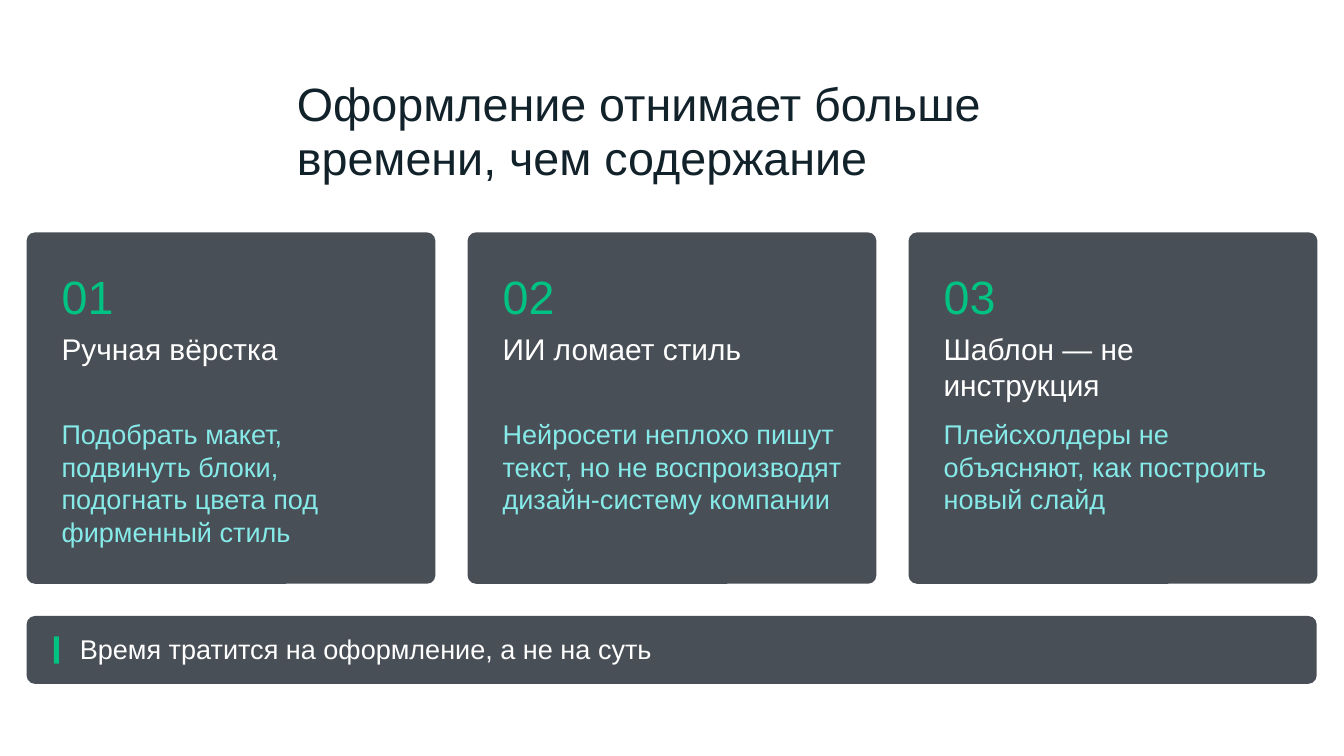
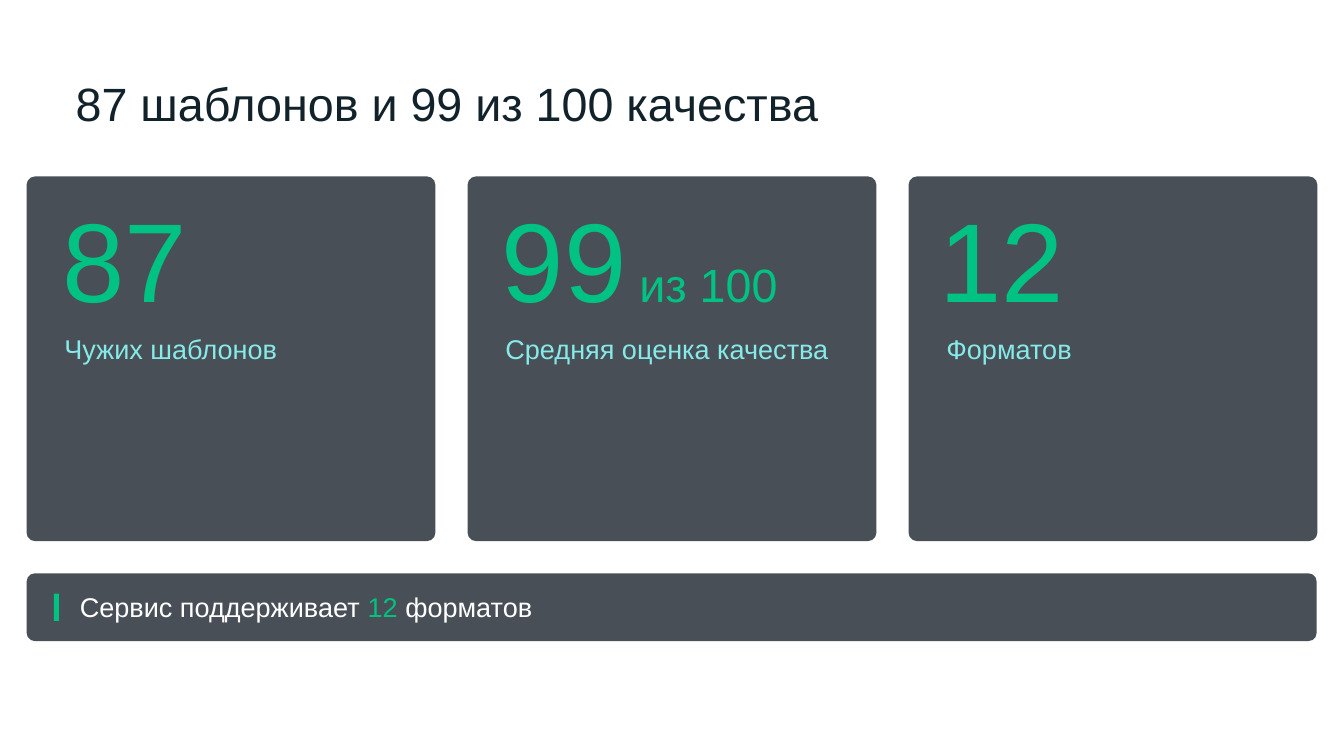
from pptx import Presentation
from pptx.dml.color import RGBColor
from pptx.enum.shapes import MSO_SHAPE
from pptx.enum.text import MSO_ANCHOR, MSO_AUTO_SIZE, PP_ALIGN
from pptx.util import Emu, Pt

RECTANGLE, ROUNDED = MSO_SHAPE.RECTANGLE, MSO_SHAPE.ROUNDED_RECTANGLE
TOP, BOTTOM = MSO_ANCHOR.TOP, MSO_ANCHOR.BOTTOM
LEFT = PP_ALIGN.LEFT
NO_AUTOSIZE = MSO_AUTO_SIZE.NONE

FONT = "Arial"
INK, PANEL, GREEN, AQUA, WHITE = "12222B", "494F56", "00C282", "86EAE9", "FFFFFF"
TITLE_SIZE, HEADING_SIZE, BODY_SIZE, FIGURE_SIZE = 50, 32, 29, 120
TITLE_ONLY = 5

EMU_PER_PX = 9525
SLIDE_WIDTH, SLIDE_HEIGHT = 1920, 1080
MARGIN, CARD_WIDTH, CARD_STEP = 38, 584, 630
STRIP_WIDTH, STRIP_HEIGHT, RADIUS = 1843, 97, 12

PROBLEMS = [
    ("01", "Ручная вёрстка",
     "Подобрать макет, подвинуть блоки, подогнать цвета под фирменный стиль", 54.3),
    ("02", "ИИ ломает стиль",
     "Нейросети неплохо пишут текст, но не воспроизводят дизайн-систему компании", 54.3),
    ("03", "Шаблон — не инструкция",
     "Плейсхолдеры не объясняют, как построить новый слайд", 15.9),
]
FIGURES = [
    ("87", "", "Чужих шаблонов", 51),
    ("99", " из 100", "Средняя оценка качества", 49),
    ("12", "", "Форматов", 44),
]


def px(length):
    """Turn pixels into EMU."""
    return Emu(length * EMU_PER_PX)


def color(value):
    """Turn a hex string into a colour."""
    return RGBColor.from_string(value)


def place(shape, left, top, width, height):
    """Set the position and size of a shape in pixels."""
    shape.left, shape.top = px(left), px(top)
    shape.width, shape.height = px(width), px(height)


def prepare_frame(frame, anchor):
    """Give a text frame wrapping, no insets and an anchor."""
    frame.word_wrap = True
    frame.auto_size = NO_AUTOSIZE
    frame.vertical_anchor = anchor
    frame.margin_left = frame.margin_right = 0
    frame.margin_top = frame.margin_bottom = 0


def fill_paragraph(para, spans):
    """Write (text, size, colour) spans into a paragraph."""
    para.alignment = LEFT
    for text, size, ink in spans:
        span = para.add_run()
        span.text = text
        span.font.name = FONT
        span.font.size = Pt(size)
        span.font.color.rgb = color(ink)


def add_text(slide, left, top, width, height, *paragraphs, anchor=TOP):
    """Add a text box with one list of spans per paragraph."""
    box = slide.shapes.add_textbox(px(left), px(top), px(width), px(height))
    frame = box.text_frame
    prepare_frame(frame, anchor)
    for index, spans in enumerate(paragraphs):
        para = frame.add_paragraph() if index else frame.paragraphs[0]
        fill_paragraph(para, spans)
    return frame


def add_panel(slide, kind, fill, left, top, width, height):
    """Add a plain filled shape, rounded by the shared radius if it can be."""
    panel = slide.shapes.add_shape(kind, px(left), px(top), px(width), px(height))
    panel.shadow.inherit = False
    panel.fill.solid()
    panel.fill.fore_color.rgb = color(fill)
    panel.line.fill.background()
    if kind == ROUNDED:
        panel.adjustments[0] = RADIUS / min(width, height)


def add_titled_slide(deck, text, left, width, height):
    """Add a slide with a left-aligned title."""
    slide = deck.slides.add_slide(deck.slide_layouts[TITLE_ONLY])
    title = slide.shapes.title
    place(title, left, 109, width, height)
    prepare_frame(title.text_frame, TOP)
    para = title.text_frame.paragraphs[0]
    para.line_spacing = Pt(58)
    fill_paragraph(para, [(text, TITLE_SIZE, INK)])
    return slide


def add_cards(slide, top, height, items):
    """Add a row of cards and yield the left edge and content of each."""
    for index, item in enumerate(items):
        left = MARGIN + index * CARD_STEP
        add_panel(slide, ROUNDED, PANEL, left, top, CARD_WIDTH, height)
        yield left, item


def add_takeaway(slide, top, spans):
    """Add the bottom strip with its accent bar and conclusion."""
    add_panel(slide, ROUNDED, PANEL, MARGIN, top, STRIP_WIDTH, STRIP_HEIGHT)
    add_panel(slide, RECTANGLE, GREEN, 77, top + 29, 7, 39)
    add_text(slide, 114, top + 24, 1729, 49, spans)


def add_problems_slide(deck):
    """Build the slide with three numbered problems."""
    slide = add_titled_slide(
        deck, "Оформление отнимает больше времени, чем содержание", 424, 1019, 170)
    for left, (number, heading, detail, gap) in add_cards(slide, 332, 502, PROBLEMS):
        add_text(slide, left + 50, 382, 485, 80, [(number, TITLE_SIZE, GREEN)])
        frame = add_text(slide, left + 50, 473, 485, 312,
                         [(heading, HEADING_SIZE, WHITE)],
                         [(detail, BODY_SIZE, AQUA)])
        frame.paragraphs[0].space_after = Pt(gap)
    add_takeaway(slide, 880, [
        ("Время тратится на оформление, а не на суть", BODY_SIZE, WHITE)])


def add_figures_slide(deck):
    """Build the slide with three key figures."""
    slide = add_titled_slide(deck, "87 шаблонов и 99 из 100 качества", 108, 1651, 89)
    for left, (figure, suffix, label, indent) in add_cards(slide, 252, 521, FIGURES):
        spans = [(figure, FIGURE_SIZE, GREEN)]
        if suffix:
            spans.append((suffix, TITLE_SIZE, GREEN))
        add_text(slide, left + indent, 272, 480, 192, spans, anchor=BOTTOM)
        add_text(slide, left + 54, 475, 476, 245, [(label, BODY_SIZE, AQUA)])
    add_takeaway(slide, 819, [
        ("Сервис поддерживает ", BODY_SIZE, WHITE),
        ("12 ", BODY_SIZE, GREEN),
        ("форматов", BODY_SIZE, WHITE)])


def main():
    """Build and save the deck."""
    deck = Presentation()
    deck.slide_width, deck.slide_height = px(SLIDE_WIDTH), px(SLIDE_HEIGHT)
    add_problems_slide(deck)
    add_figures_slide(deck)
    deck.save("out.pptx")


if __name__ == "__main__":
    main()
